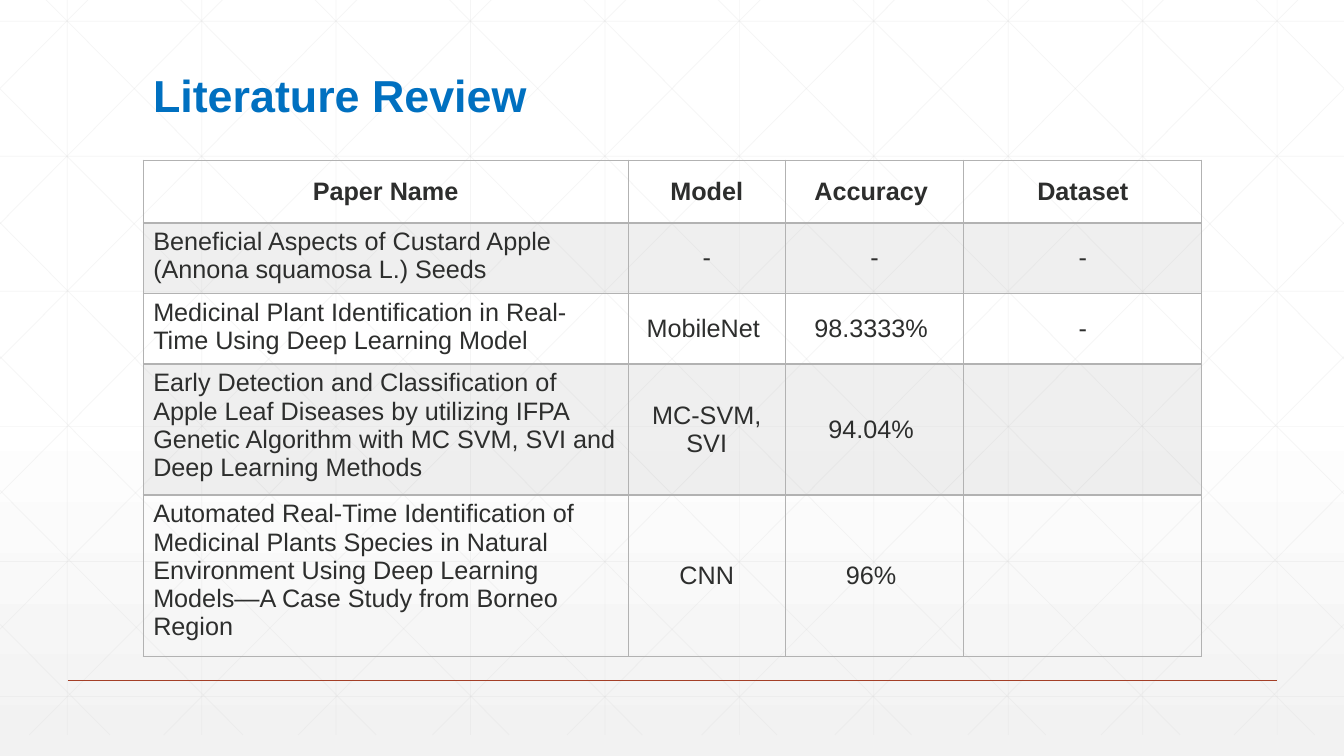
from lxml import etree
from pptx import Presentation
from pptx.dml.color import RGBColor
from pptx.enum.shapes import MSO_CONNECTOR
from pptx.enum.text import MSO_ANCHOR, PP_ALIGN
from pptx.oxml.ns import qn
from pptx.util import Inches, Pt

STRAIGHT = MSO_CONNECTOR.STRAIGHT
MIDDLE, TOP = MSO_ANCHOR.MIDDLE, MSO_ANCHOR.TOP
CENTER, LEFT = PP_ALIGN.CENTER, PP_ALIGN.LEFT

WHITE = RGBColor(0xFF, 0xFF, 0xFF)
PALE = RGBColor(0xF2, 0xF2, 0xF2)
GRID = RGBColor(0xD9, 0xD9, 0xD9)
RUST = RGBColor(0xA4, 0x3F, 0x27)
BLUE = RGBColor(0x00, 0x70, 0xC0)
INK = RGBColor(0x2D, 0x2E, 0x2D)
GRAY = RGBColor(0xB2, 0xB2, 0xB2)

WIDTH, HEIGHT = 13.33, 7.5
GRID_TOP, GRID_BOTTOM = -0.21, 7.29
STEP = 4 / 3
SLOPE = 1.006

COLUMNS = [4.81, 1.56, 1.77, 2.36]
ROWS = [0.62, 0.66, 0.66, 1.22, 1.51]
PAPERS = [
    ["Paper Name", "Model", "Accuracy ", "Dataset"],
    ["Beneficial Aspects of Custard Apple (Annona squamosa L.) Seeds", "-", "-", "-"],
    ["Medicinal Plant Identification in Real-Time Using Deep Learning Model",
     "MobileNet ", "98.3333% ", "-"],
    ["Early Detection and Classification of Apple Leaf Diseases by utilizing IFPA "
     "Genetic Algorithm with MC SVM, SVI and Deep Learning Methods",
     "MC-SVM, SVI", "94.04% ", ""],
    ["Automated Real-Time Identification of Medicinal Plants Species in Natural "
     "Environment Using Deep Learning Models—A Case Study from Borneo Region",
     "CNN", "96% ", ""],
]


class Deck:
    font = "Arial"

    def __init__(self):
        self.prs = Presentation()
        self.prs.slide_width = Inches(WIDTH)
        self.prs.slide_height = Inches(HEIGHT)
        self.s = self.prs.slides.add_slide(self.prs.slide_layouts[6])

    def color_xml(self, parent, color, alpha=100):
        clr = etree.SubElement(parent, qn("a:srgbClr"), val=str(color))
        if alpha < 100:
            etree.SubElement(clr, qn("a:alpha"), val=str(alpha * 1000))

    def background(self, stops):
        fill = self.s.background.fill
        fill.gradient()
        fill.gradient_angle = 270
        gs_list = next(self.s.element.iter(qn("a:gsLst")))
        for gs in list(gs_list):
            gs_list.remove(gs)
        for pos, color, alpha in stops:
            gs = etree.SubElement(gs_list, qn("a:gs"), pos=str(pos * 1000))
            self.color_xml(gs, color, alpha)

    def line(self, x1, y1, x2, y2, color, width, alpha=100):
        ends = [Inches(v) for v in (x1, y1, x2, y2)]
        sp = self.s.shapes.add_connector(STRAIGHT, *ends)
        sp.line.width = Pt(width)
        sp.line.color.rgb = color
        props = sp.element.spPr
        if alpha < 100:
            clr = next(props.iter(qn("a:srgbClr")))
            etree.SubElement(clr, qn("a:alpha"), val=str(alpha * 1000))
        etree.SubElement(props, qn("a:effectLst"))

    def grid_line(self, x1, y1, x2, y2):
        self.line(x1, y1, x2, y2, GRID, 0.5, 25)

    def grid(self):
        for i in range(10):
            x = (i + 0.5) * STEP
            self.grid_line(x, GRID_TOP, x, GRID_BOTTOM)
        for i in range(6):
            y = 0.21 + 1.34 * i
            self.grid_line(0, y, WIDTH, y)
        for mirrored in (False, True):
            self.diagonals(mirrored)

    def diagonals(self, mirrored):
        def place(x):
            return WIDTH - x if mirrored else x

        for i in range(10):
            x = 0.25 + STEP * i
            end = min(x + (GRID_BOTTOM - GRID_TOP) / SLOPE, WIDTH)
            self.grid_line(place(x), GRID_TOP, place(end), GRID_TOP + (end - x) * SLOPE)
        for i in range(5):
            x = 6.37 - 1.32 * i
            self.grid_line(place(x), GRID_BOTTOM, place(0), GRID_BOTTOM - x * SLOPE)

    def style(self, p, size, color, bold, align=LEFT):
        p.alignment = align
        p.font.name = self.font
        p.font.size = Pt(size)
        p.font.bold = bold
        p.font.color.rgb = color

    def title(self, text, x, y, w, h):
        tf = self.s.shapes.add_textbox(Inches(x), Inches(y), Inches(w), Inches(h)).text_frame
        tf.word_wrap = True
        tf.vertical_anchor = MIDDLE
        p = tf.paragraphs[0]
        p.text = text
        p.line_spacing = 0.9
        self.style(p, 32, BLUE, True)

    def borders(self, cell, bottom):
        props = cell._tc.get_or_add_tcPr()
        widths = {"a:lnL": 1, "a:lnR": 1, "a:lnT": 1, "a:lnB": bottom}
        for i, (side, width) in enumerate(widths.items()):
            ln = etree.Element(qn(side), w=str(Pt(width)))
            self.color_xml(etree.SubElement(ln, qn("a:solidFill")), GRAY)
            props.insert(i, ln)

    def cell(self, cell, text, header, centered, banded):
        cell.text = text
        cell.vertical_anchor = MIDDLE if centered else TOP
        self.style(cell.text_frame.paragraphs[0], 18, INK, header,
                   CENTER if centered else LEFT)
        if banded:
            cell.fill.solid()
            cell.fill.fore_color.rgb = GRAY
            clr = next(cell._tc.tcPr.iter(qn("a:srgbClr")))
            etree.SubElement(clr, qn("a:alpha"), val="20000")
        else:
            cell.fill.background()
        self.borders(cell, 2 if header else 1)

    def table(self, data, x, y, widths, heights):
        table = self.s.shapes.add_table(
            len(heights), len(widths), Inches(x), Inches(y),
            Inches(sum(widths)), Inches(sum(heights))).table
        table.first_row = table.horz_banding = False
        for column, width in zip(table.columns, widths):
            column.width = Inches(width)
        for r, height in enumerate(heights):
            table.rows[r].height = Inches(height)
            for c, text in enumerate(data[r]):
                self.cell(table.cell(r, c), text, r == 0, r == 0 or c > 0, r % 2 == 1)


def main():
    deck = Deck()
    deck.background([(0, WHITE, 100), (53, WHITE, 100), (100, PALE, 65)])
    deck.grid()
    deck.line(0.67, 6.75, 12.67, 6.75, RUST, 1)
    deck.title("Literature Review", 1.42, 0.55, 10.5, 0.84)
    deck.table(PAPERS, 1.42, 1.59, COLUMNS, ROWS)
    deck.prs.save("out.pptx")


if __name__ == "__main__":
    main()
